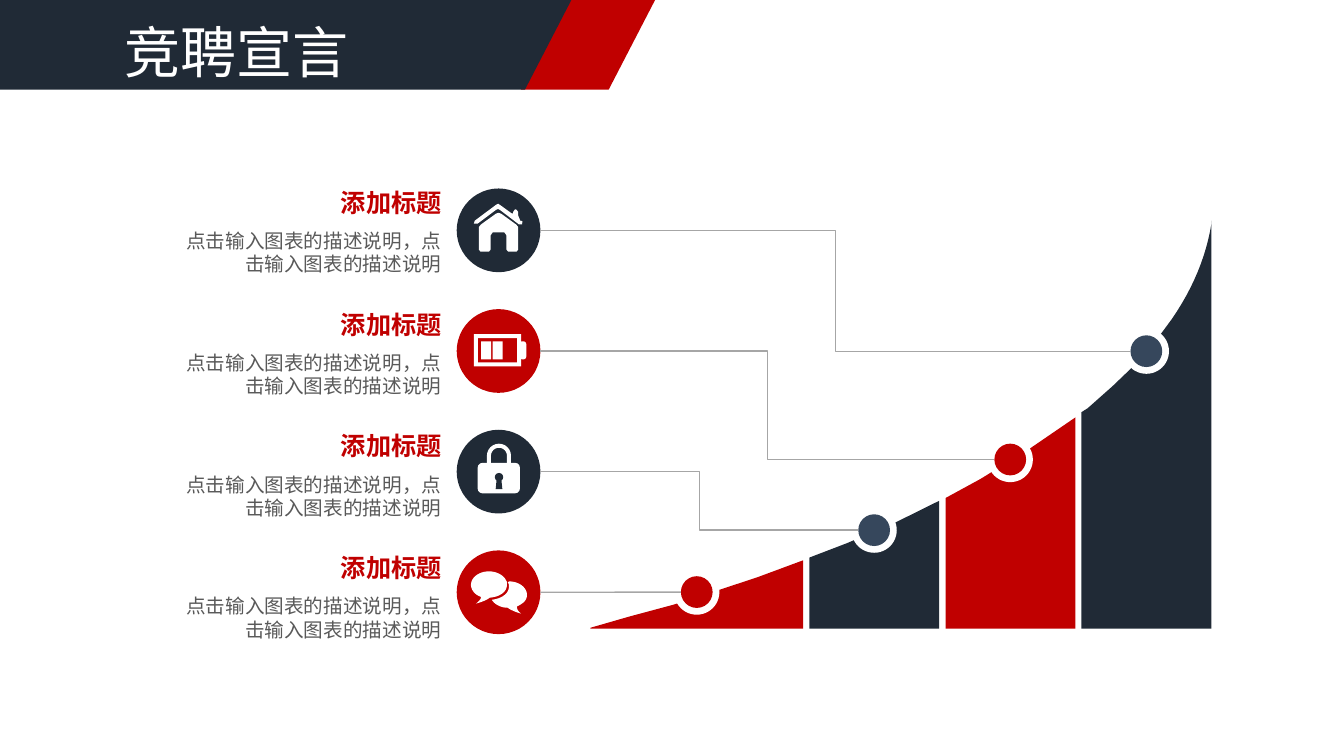
import dataclasses

import pptx
import pptx.dml.color
import pptx.enum.shapes
import pptx.enum.text
import pptx.oxml
import pptx.oxml.ns
import pptx.util
from pptx.util import Cm

PRESET = pptx.enum.shapes.MSO_SHAPE
CONNECTOR = pptx.enum.shapes.MSO_CONNECTOR
ALIGN = pptx.enum.text.PP_ALIGN


@dataclasses.dataclass(frozen=True)
class Theme:
    navy: str = "202A36"
    slate: str = "36475C"
    red: str = "C00000"
    white: str = "FFFFFF"
    rule: str = "A6A6A6"
    body: str = "595959"
    font: str = "Noto Sans CJK SC"
    title_size: int = 40
    heading_size: int = 18
    body_size: int = 14
    line_height: float = 1.2


@dataclasses.dataclass(frozen=True)
class Box:
    """A region in cm; unit is the length of one local step."""
    left: float
    top: float
    width: float
    height: float
    unit: float = 1

    def at(self, x, y):
        return Cm(self.left + x * self.unit), Cm(self.top + y * self.unit)

    def size(self, width, height):
        return Cm(width * self.unit), Cm(height * self.unit)


THEME = Theme()


def rgb(code):
    return pptx.dml.color.RGBColor.from_string(code)


def paint(shape, color):
    shape.shadow.inherit = False
    shape.fill.solid()
    shape.fill.fore_color.rgb = rgb(color)
    shape.line.fill.background()


def add_preset(shapes, box, kind, x, y, width, height, color, *adjustments):
    shape = shapes.add_shape(kind, *box.at(x, y), *box.size(width, height))
    for index, value in enumerate(adjustments):
        shape.adjustments[index] = value
    paint(shape, color)
    return shape


def add_disc(shapes, box, x, y, diameter, color):
    """Places a circle by its centre."""
    return add_preset(shapes, box, PRESET.OVAL, x - diameter / 2, y - diameter / 2,
                      diameter, diameter, color)


def flatten(steps, pieces=12):
    """Turns pairs (lines) and sextuples (Bezier curves) into points."""
    points = []
    for step in steps:
        if len(step) == 2:
            points.append(step)
            continue
        ends = [points[-1], step[:2], step[2:4], step[4:]]
        for piece in range(1, pieces + 1):
            t = piece / pieces
            weights = ((1 - t) ** 3, 3 * t * (1 - t) ** 2, 3 * t * t * (1 - t), t ** 3)
            points.append(tuple(sum(w * end[axis] for w, end in zip(weights, ends))
                                for axis in (0, 1)))
    return points


def add_outline(shapes, box, steps, color):
    points = [box.at(x, y) for x, y in flatten(steps)]
    builder = shapes.build_freeform(*points[0], scale=1.0)
    builder.add_line_segments(points[1:], close=True)
    paint(builder.convert_to_shape(), color)


def write(frame, text, size, color, align, bold=False, wrap=True):
    frame.word_wrap = wrap
    frame.auto_size = pptx.enum.text.MSO_AUTO_SIZE.NONE
    frame.vertical_anchor = pptx.enum.text.MSO_ANCHOR.TOP
    paragraph = frame.paragraphs[0]
    paragraph.alignment = align
    paragraph.line_spacing = pptx.util.Pt(size * THEME.line_height)
    run = paragraph.add_run()
    run.text = text
    run.font.size = pptx.util.Pt(size)
    run.font.bold = bold
    run.font.color.rgb = rgb(color)
    run.font.name = THEME.font
    east_asian = pptx.oxml.parse_xml(
        f'<a:ea {pptx.oxml.ns.nsdecls("a")} typeface="{THEME.font}"/>')
    run.font._element.append(east_asian)


def draw_header(slide, box, text):
    shapes = slide.shapes
    slant = 1.17
    add_preset(shapes, box, PRESET.PARALLELOGRAM, box.width - 3.38, 0, 3.38, box.height,
               THEME.red, slant / box.height)
    add_outline(shapes, box, [(0, 0), (14.4, 0), (14.4 - slant, box.height), (0, box.height)],
                THEME.navy)
    title = shapes.title
    title.left, title.top = box.at(2.95, 0.33)
    title.width, title.height = box.size(7.98, 1.9)
    frame = title.text_frame
    frame.margin_left = frame.margin_right = Cm(0.18)
    frame.margin_top = frame.margin_bottom = Cm(0.1)
    write(frame, text, THEME.title_size, THEME.white, ALIGN.LEFT)
    title._element.getparent().append(title._element)  # bring in front of the band


def draw_caption(shapes, box, heading, description):
    heading_box = shapes.add_textbox(*box.at(box.width - 3.07, 0), *box.size(3.07, 1.02))
    write(heading_box.text_frame, heading, THEME.heading_size, THEME.red, ALIGN.RIGHT,
          bold=True, wrap=False)
    description_box = shapes.add_textbox(*box.at(0, 1.05), *box.size(box.width, 1.45))
    write(description_box.text_frame, description, THEME.body_size, THEME.body, ALIGN.RIGHT)


def draw_house(shapes, box, color):
    half = [(50, 29), (47, 30), (29, 43), (26.5, 46), (26.5, 73), (28.5, 75.5),
            (38.5, 75.5), (40.5, 73), (40.5, 56), (43, 52.5)]
    add_outline(shapes, box, half + [(100 - x, y) for x, y in reversed(half)], THEME.white)
    roof = [(76, 38.5), (73.5, 32.5), (73.5, 28), (71, 25), (69.5, 25), (67.5, 28),
            (67.5, 29.5), (66, 30), (51.5, 19.5), (49.5, 18.2), (47, 19.5), (21.5, 38.5),
            (20.5, 42), (25, 42), (47, 25.5), (49.5, 24.5), (51.5, 25.5), (74.5, 43),
            (78, 43), (78.5, 39)]
    add_outline(shapes, box, roof, THEME.white)


def draw_battery(shapes, box, color):
    add_preset(shapes, box, PRESET.FRAME, 20.5, 30, 56.5, 38.5, THEME.white, 0.125)
    add_preset(shapes, box, PRESET.ROUNDED_RECTANGLE, 75, 38.5, 8, 21.5, THEME.white, 0.4)
    for x in (29, 43):
        add_preset(shapes, box, PRESET.RECTANGLE, x, 38.5, 12, 21.5, THEME.white)


def draw_lock(shapes, box, color):
    shackle = add_preset(shapes, box, PRESET.ROUNDED_RECTANGLE, 38.5, 19, 24, 35, color, 0.5)
    shackle.line.color.rgb = rgb(THEME.white)
    shackle.line.width = box.size(4.8, 0)[0]
    add_preset(shapes, box, PRESET.ROUNDED_RECTANGLE, 25, 39.5, 50.5, 36.5, THEME.white, 0.16)
    add_disc(shapes, box, 50.5, 56.5, 10, color)
    add_preset(shapes, box, PRESET.TRAPEZOID, 46.5, 59, 8, 12, color, 0.15)


def draw_chat(shapes, box, color):
    reply = [(84, 53), (84, 44.5, 74.5, 37, 62.5, 37), (61, 38.5),
             (62.5, 39.5, 62.5, 42, 62.5, 43), (62.5, 51.5, 54, 57.5, 42, 59),
             (44.5, 63.5, 51.5, 68.5, 61, 68.5), (67, 73, 77, 75.5, 77, 75.5),
             (72, 72, 72, 68.5, 72, 67), (79, 63.5, 84, 60, 84, 53)]
    message = [(59, 36), (56.5, 30, 48, 25, 38.5, 25), (26.5, 25, 17, 32.5, 17, 41),
               (17, 47, 21.5, 53, 29, 55.5), (29, 56.5, 29, 59, 23, 63.5),
               (23, 63.5, 33.5, 61, 39.5, 56.5), (51.5, 55.5, 60, 49.5, 60, 41),
               (60, 38.5, 60, 37, 59, 36)]
    for bubble in (reply, message):
        add_outline(shapes, box, bubble, THEME.white)


def draw_badge(shapes, box, draw_icon, color):
    disc = add_disc(shapes, box, 50, 50, 100, color)
    draw_icon(shapes, box, color)
    return disc


def draw_growth(shapes, box):
    """Draws the rising bars and returns their dots from top to bottom."""
    tops = [
        [(0, 10.26), (0.97, 9.98), (2.09, 9.68), (3.26, 9.3), (4.2, 8.99), (5.36, 8.56)],
        [(5.52, 8.49), (6.46, 8.13), (7.7, 7.6), (8.79, 7.06)],
        [(8.95, 6.99), (9.83, 6.51), (11.08, 5.74), (12.22, 4.96)],
        [(12.37, 4.83), (12.53, 4.73), (13.16, 4.17), (13.64, 3.71), (14.38, 2.85),
         (14.66, 2.47), (15.19, 1.7, 15.52, 0.89, 15.65, 0.08), (15.65, 0)],
    ]
    for index, top in enumerate(tops):
        base = [(top[-1][0], box.height), (top[0][0], box.height)]
        add_outline(shapes, box, top + base, (THEME.red, THEME.navy)[index % 2])
    dots = []
    for index, centre in enumerate([(14.01, 3.29), (10.58, 6.02), (7.15, 7.8), (2.68, 9.36)]):
        add_disc(shapes, box, *centre, 1.14, THEME.white)
        dots.append(add_disc(shapes, box, *centre, 0.8, (THEME.slate, THEME.red)[index % 2]))
    return dots


def link(shapes, badge, dot, kind):
    line = shapes.add_connector(kind, badge.left + badge.width, badge.top + badge.height // 2,
                                dot.left, dot.top + dot.height // 2)
    line.line.color.rgb = rgb(THEME.rule)
    line.line.width = pptx.util.Pt(1)
    line._element.spPr.append(
        pptx.oxml.parse_xml(f'<a:effectLst {pptx.oxml.ns.nsdecls("a")}/>'))


def draw_manifesto(slide):
    shapes = slide.shapes
    draw_header(slide, Box(0, 0, 16.51, 2.26), "竞聘宣言")
    dots = draw_growth(shapes, Box(14.88, 5.56, 15.65, 10.28))
    icons = [draw_house, draw_battery, draw_lock, draw_chat]
    for row, (draw_icon, dot) in enumerate(zip(icons, dots)):
        draw_caption(shapes, Box(4.27, 4.59 + row * 3.07, 7.11, 2.5),
                     "添加标题", "点击输入图表的描述说明，点击输入图表的描述说明")
        badge = draw_badge(shapes, Box(11.51, 4.75 + row * 3.04, 2.11, 2.11, 0.0211),
                           draw_icon, (THEME.navy, THEME.red)[row % 2])
        link(shapes, badge, dot, CONNECTOR.STRAIGHT if row == 3 else CONNECTOR.ELBOW)


def main():
    deck = pptx.Presentation()
    deck.slide_width, deck.slide_height = Cm(33.87), Cm(19.05)
    draw_manifesto(deck.slides.add_slide(deck.slide_layouts[5]))
    deck.save("out.pptx")


if __name__ == "__main__":
    main()
